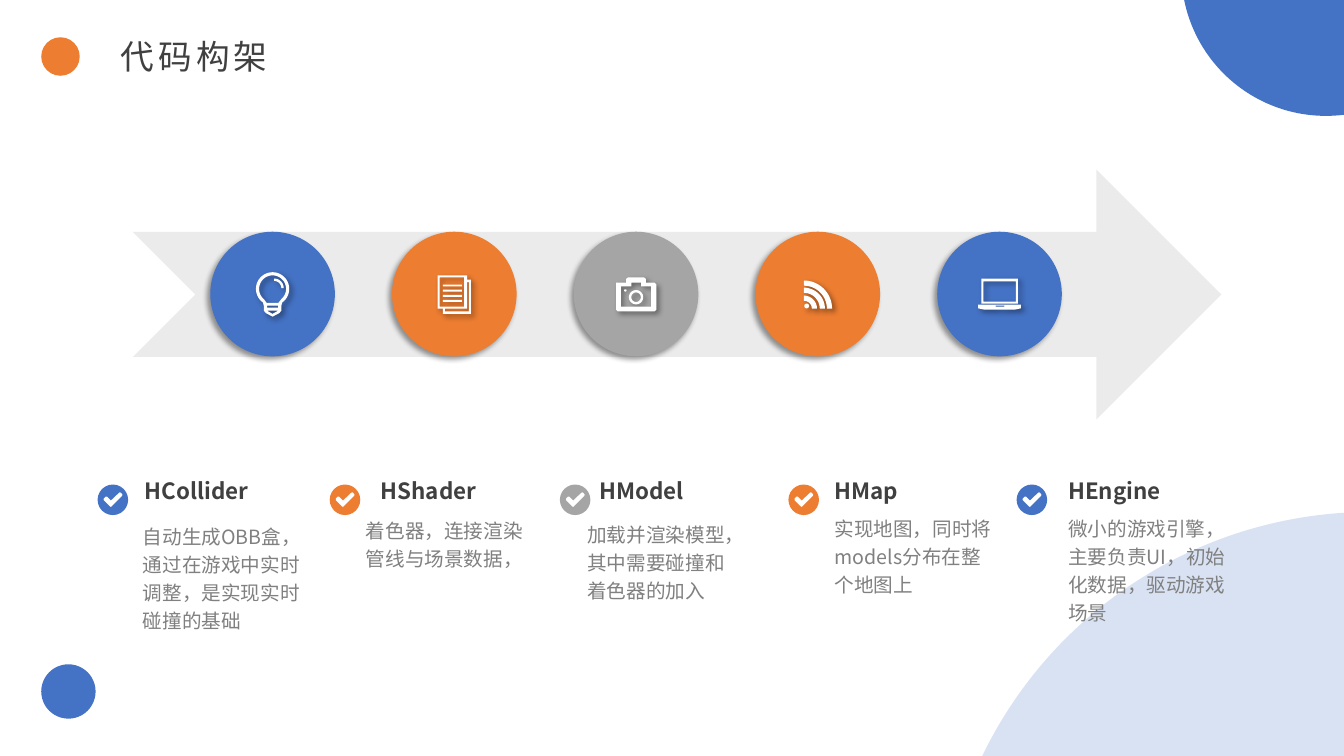
"""Build the code architecture slide: five modules along an arrow."""
import math

import lxml.etree
import pptx
import pptx.dml.color
import pptx.enum.shapes
import pptx.enum.text
import pptx.oxml.ns
import pptx.util
from pptx.util import Cm


class Theme:
    """Colours, fonts and type sizes."""
    blue, orange, grey = "4472C4", "ED7D31", "A5A5A5"
    white, arrow, black = "FFFFFF", "D9D9D9", "000000"
    heading, body = "404040", "808080"
    title_font, text_font = "Arial", "Noto Sans CJK SC"
    title_size, heading_size, body_size = 24, 16, 14
    line_spacing, title_tracking = 20, 300


def rectangle(left, top, right, bottom):
    """Return the corners of a rectangle."""
    return [(left, top), (right, top), (right, bottom), (left, bottom)]


def arc(x, y, radius, start=0, end=360):
    """Return points along an arc, angles clockwise from the right."""
    steps = 36
    angles = [math.radians(start + (end - start) * step / steps) for step in range(steps + 1)]
    return [(x + radius * math.cos(angle), y + radius * math.sin(angle)) for angle in angles]


def band(x, y, outer, inner):
    """Return a quarter ring, open towards the lower left."""
    return arc(x, y, outer, -90, 0) + arc(x, y, inner, 0, -90)


BULB = [
    arc(0, -0.13, 0.42, 125, 415) + [(0.22, 0.3), (0.22, 0.42), (0.17, 0.48), (0, 0.57),
                                     (-0.17, 0.48), (-0.22, 0.42), (-0.22, 0.3)],
    arc(0, -0.13, 0.34, 130, 410) + [(0.15, 0.22), (-0.15, 0.22)],
    rectangle(-0.14, 0.29, 0.14, 0.34),
    [(-0.14, 0.42), (0.14, 0.42), (0, 0.5)],
    band(0.04, -0.15, 0.24, 0.18),
]
DOCUMENT = [
    rectangle(-0.42, -0.47, 0.32, 0.37),
    rectangle(-0.37, -0.42, 0.25, 0.32),
    [(0.32, -0.36), (0.42, -0.36), (0.42, 0.5), (-0.29, 0.5), (-0.29, 0.37),
     (-0.24, 0.37), (-0.24, 0.44), (0.37, 0.44), (0.37, -0.3), (0.32, -0.3)],
] + [rectangle(-0.29, -0.24 + 0.13 * row, 0.19, -0.19 + 0.13 * row) for row in range(4)]
CAMERA = [
    [(-0.5, -0.29), (-0.25, -0.29), (-0.25, -0.38), (-0.2, -0.42), (0.2, -0.42), (0.25, -0.38),
     (0.25, -0.29), (0.46, -0.29), (0.51, -0.24), (0.51, 0.4), (0.46, 0.44), (-0.46, 0.44),
     (-0.5, 0.4)],
    [(-0.38, -0.19), (-0.12, -0.19), (-0.12, -0.29), (0.13, -0.29), (0.13, -0.19),
     (0.38, -0.19), (0.38, 0.32), (-0.38, 0.32)],
    arc(0, 0.08, 0.18), arc(0, 0.08, 0.12), arc(-0.27, -0.09, 0.03),
]
FEED = [band(-0.35, 0.37, outer, outer - 0.13) for outer in (0.71, 0.53, 0.33)]
FEED.append(arc(-0.28, 0.3, 0.06))
LAPTOP = [
    rectangle(-0.46, -0.39, 0.46, 0.24), rectangle(-0.41, -0.32, 0.41, 0.19),
    [(-0.54, 0.27), (0.54, 0.27), (0.54, 0.36), (0.4, 0.39), (-0.4, 0.39), (-0.54, 0.36)],
    rectangle(-0.1, 0.29, 0.12, 0.32),
]
CHECK = [[(0.23, -0.1), (0, 0.13), (-0.05, 0.18), (-0.08, 0.16), (-0.23, 0.01), (-0.23, -0.03),
          (-0.18, -0.08), (-0.15, -0.08), (-0.05, 0.02), (0.15, -0.17), (0.18, -0.19),
          (0.21, -0.17), (0.24, -0.13)]]

TITLE = "代码构架"
# name, text, colour, icon, badge left, heading left and width, body left, top, width and height
MODULES = [
    ("HCollider", "自动生成OBB盒，通过在游戏中实时调整，是实现实时碰撞的基础",
     Theme.blue, BULB, 2.46, (3.4, 3.66), (3.35, 12.98, 4.67, 3.07)),
    ("HShader", "着色器，连接渲染管线与场景数据，",
     Theme.orange, DOCUMENT, 8.31, (9.35, 3.02), (8.97, 12.83, 4.67, 1.65)),
    ("HModel", "加载并渲染模型，其中需要碰撞和着色器的加入",
     Theme.grey, CAMERA, 14.11, (14.86, 3.02), (14.55, 12.93, 4.04, 2.36)),
    ("HMap", "实现地图，同时将models分布在整个地图上",
     Theme.orange, FEED, 19.87, (20.78, 3.02), (20.78, 12.78, 4.67, 2.36)),
    ("HEngine", "微小的游戏引擎，主要负责UI，初始化数据，驱动游戏场景",
     Theme.blue, LAPTOP, 25.62, (26.67, 3.02), (26.67, 12.78, 4.67, 3.07)),
]
CORNER_CIRCLES = [
    (23.67, 12.9, 21.77, Theme.blue, 20), (29.77, -4.37, 7.29, Theme.blue, 100),
    (1.04, 16.74, 1.37, Theme.blue, 100), (1.04, 0.94, 0.97, Theme.orange, 100),
]
ARROW = (3.35, 4.27, 27.43, 6.3)
FIRST_CENTRE, CENTRE_STEP, CENTRE_Y, CIRCLE = 6.87, 4.58, 7.41, 3.14
BADGE_TOP, BADGE, HEADING_TOP, HEADING_HEIGHT = 12.21, 0.77, 11.89, 0.94


def child(parent, tag, **attributes):
    """Append a drawing element."""
    return lxml.etree.SubElement(parent, pptx.oxml.ns.qn(tag), attributes)


def paint(shape, colour, opacity=100, shadow_angle=None):
    """Fill a shape without outline, with an optional shadow."""
    shape.shadow.inherit = False
    shape.fill.solid()
    shape.fill.fore_color.rgb = pptx.dml.color.RGBColor.from_string(colour)
    shape.line.fill.background()
    properties = shape.element.spPr
    if opacity < 100:
        fill = properties.find(".//" + pptx.oxml.ns.qn("a:srgbClr"))
        child(fill, "a:alpha", val=str(opacity * 1000))
    if shadow_angle is not None:
        effects = properties.find(pptx.oxml.ns.qn("a:effectLst"))
        shadow = child(effects, "a:outerShdw", blurRad=str(pptx.util.Pt(4)),
                       dist=str(pptx.util.Pt(3)), dir=str(shadow_angle * 60000),
                       algn="ctr", rotWithShape="0")
        child(child(shadow, "a:srgbClr", val=Theme.black), "a:alpha", val="40000")


def add_preset(slide, kind, box, colour, **style):
    """Add a painted preset shape."""
    shape = slide.shapes.add_shape(kind, *map(Cm, box))
    paint(shape, colour, **style)


def add_outline(slide, contours, x, y, shadow_angle=None):
    """Draw white contours around a centre point."""
    units = 1000
    scaled = [[(px * units, py * units) for px, py in contour] for contour in contours]
    builder = slide.shapes.build_freeform(*scaled[0][0], scale=Cm(1) / units)
    for index, contour in enumerate(scaled):
        if index:
            builder.move_to(*contour[0])
        builder.add_line_segments(contour[1:], close=True)
    paint(builder.convert_to_shape(Cm(x), Cm(y)), Theme.white, shadow_angle=shadow_angle)


def add_text(slide, box, text, size, colour, name=Theme.text_font, bold=False):
    """Add a wrapped text box and return its paragraph."""
    frame = slide.shapes.add_textbox(*map(Cm, box)).text_frame
    frame.word_wrap = True
    frame.auto_size = pptx.enum.text.MSO_AUTO_SIZE.SHAPE_TO_FIT_TEXT
    paragraph = frame.paragraphs[0]
    paragraph.text = text
    font = paragraph.font
    font.size, font.bold, font.name = pptx.util.Pt(size), bold, name
    font.color.rgb = pptx.dml.color.RGBColor.from_string(colour)
    properties = paragraph._p.pPr.find(pptx.oxml.ns.qn("a:defRPr"))
    child(properties, "a:ea", typeface=Theme.text_font)
    return paragraph


def main():
    """Compose and save the slide."""
    presentation = pptx.Presentation()
    presentation.slide_width, presentation.slide_height = Cm(33.87), Cm(19.05)
    slide = presentation.slides.add_slide(presentation.slide_layouts[6])
    kinds = pptx.enum.shapes.MSO_SHAPE

    for left, top, size, colour, opacity in CORNER_CIRCLES:
        add_preset(slide, kinds.FLOWCHART_CONNECTOR, (left, top, size, size), colour,
                   opacity=opacity)
    title = add_text(slide, (2.79, 0.79, 6.5, 1.27), TITLE, Theme.title_size, Theme.heading,
                     Theme.title_font)
    title.alignment = pptx.enum.text.PP_ALIGN.JUSTIFY
    title._p.pPr.find(pptx.oxml.ns.qn("a:defRPr")).set("spc", str(Theme.title_tracking))
    add_preset(slide, kinds.NOTCHED_RIGHT_ARROW, ARROW, Theme.arrow, opacity=50)

    for index, (name, text, colour, icon, badge, heading, body) in enumerate(MODULES):
        centre = FIRST_CENTRE + index * CENTRE_STEP
        add_preset(slide, kinds.OVAL, (centre - CIRCLE / 2, CENTRE_Y - CIRCLE / 2, CIRCLE, CIRCLE),
                   colour, shadow_angle=135)
        add_outline(slide, icon, centre, CENTRE_Y, shadow_angle=45)
        add_preset(slide, kinds.OVAL, (badge, BADGE_TOP, BADGE, BADGE), colour)
        add_outline(slide, CHECK, badge + BADGE / 2, BADGE_TOP + BADGE / 2)
        left, width = heading
        add_text(slide, (left, HEADING_TOP, width, HEADING_HEIGHT), name, Theme.heading_size,
                 Theme.heading, bold=True)
        paragraph = add_text(slide, body, text, Theme.body_size, Theme.body)
        paragraph.line_spacing = pptx.util.Pt(Theme.line_spacing)

    presentation.save("out.pptx")


if __name__ == "__main__":
    main()
